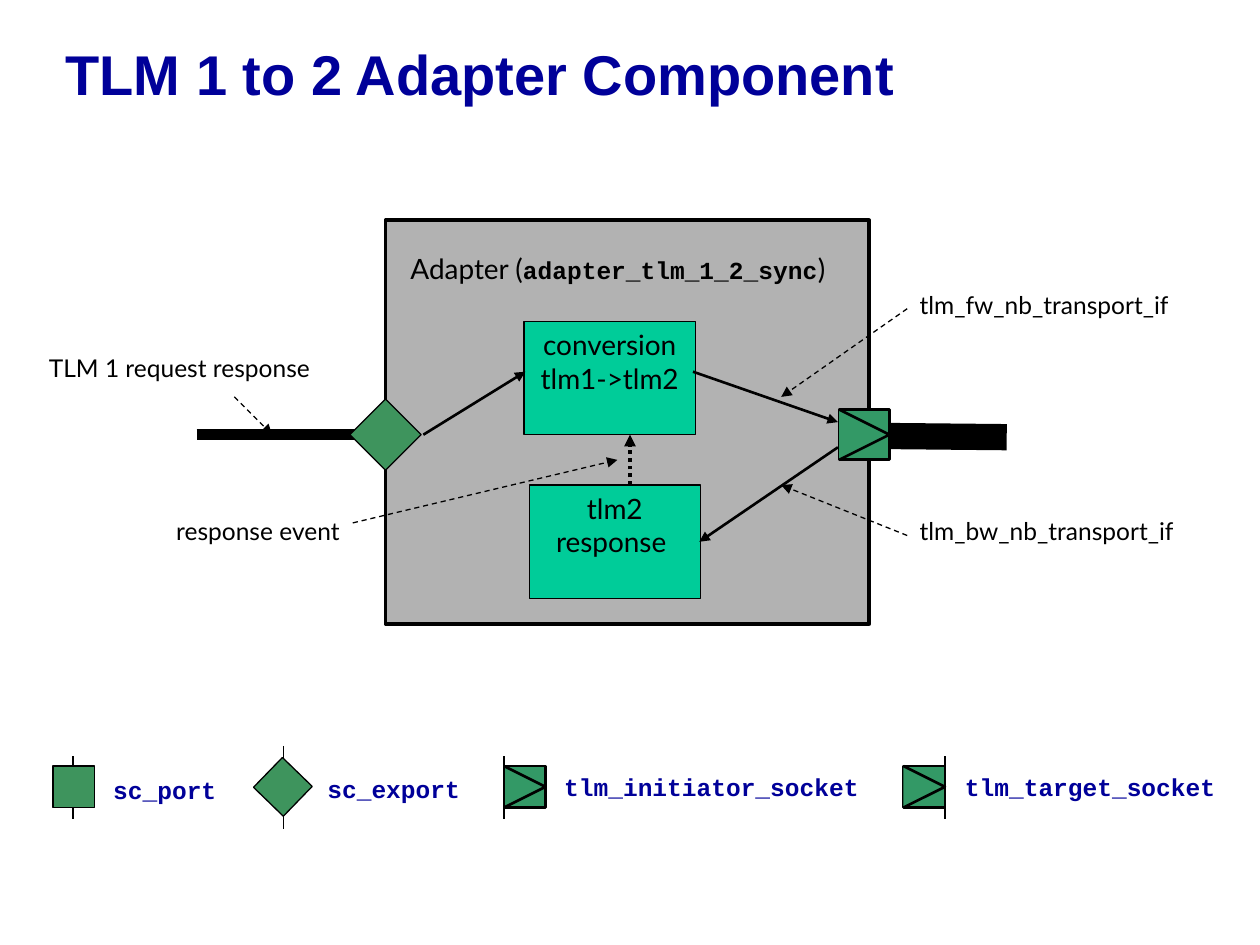
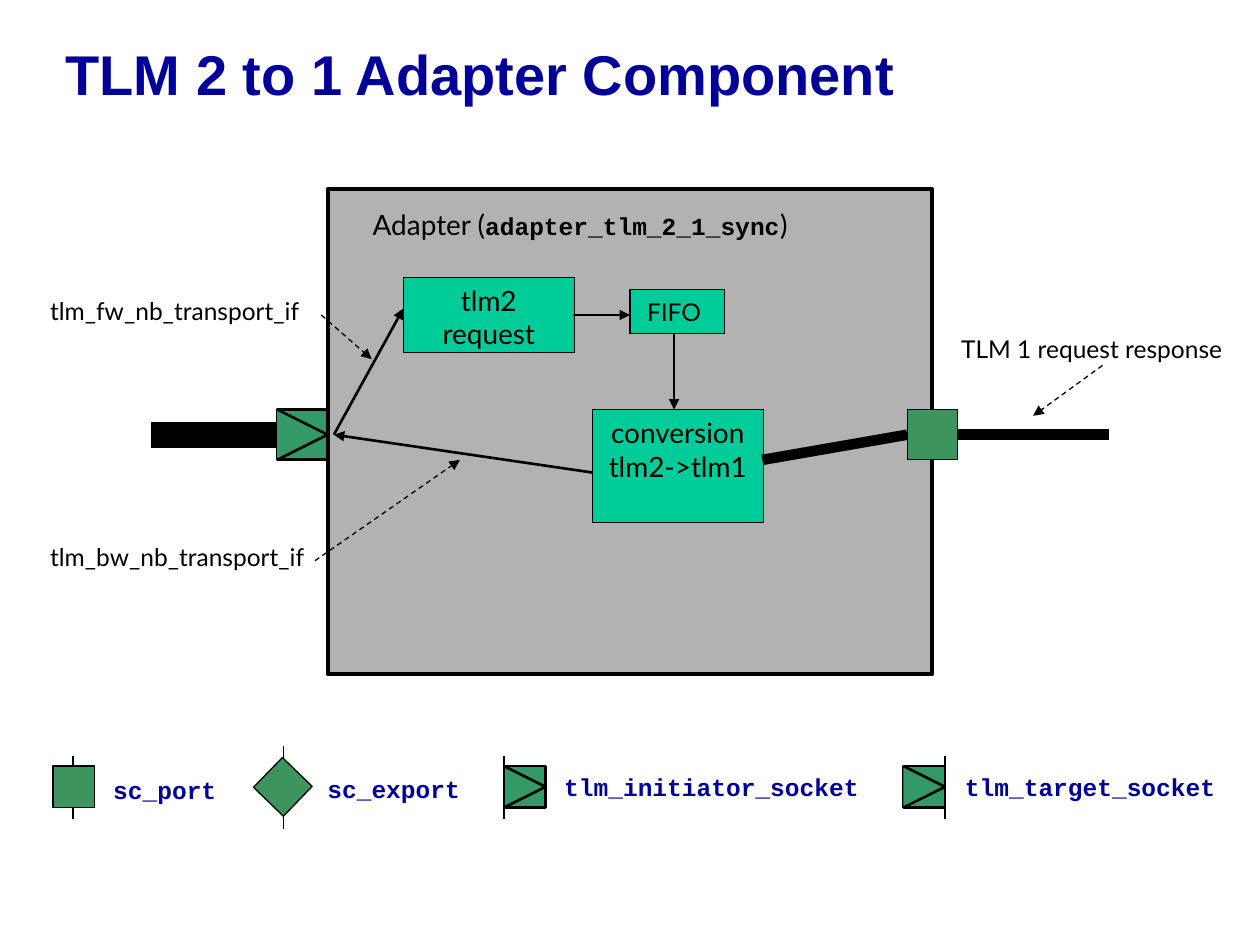
from lxml import etree
from pptx import Presentation
from pptx.dml.color import RGBColor
from pptx.enum.dml import MSO_LINE
from pptx.enum.shapes import MSO_CONNECTOR, MSO_SHAPE
from pptx.enum.text import MSO_ANCHOR, MSO_AUTO_SIZE, PP_ALIGN
from pptx.oxml.ns import qn
from pptx.util import Inches, Pt

RECTANGLE = MSO_SHAPE.RECTANGLE
STRAIGHT = MSO_CONNECTOR.STRAIGHT
DASH, DOT = MSO_LINE.DASH, MSO_LINE.ROUND_DOT
TOP, MIDDLE = MSO_ANCHOR.TOP, MSO_ANCHOR.MIDDLE
LEFT, CENTER = PP_ALIGN.LEFT, PP_ALIGN.CENTER
NO_FIT, FIT_SHAPE = MSO_AUTO_SIZE.NONE, MSO_AUTO_SIZE.SHAPE_TO_FIT_TEXT

NAVY = RGBColor(0x00, 0x00, 0x99)
BLACK = RGBColor(0x00, 0x00, 0x00)
GRAY = RGBColor(0xB2, 0xB2, 0xB2)
MINT = RGBColor(0x00, 0xCC, 0x99)
PORT_GREEN = RGBColor(0x3E, 0x94, 0x5D)
SOCKET_GREEN = RGBColor(0x33, 0x99, 0x66)

TITLE_FONT, BODY_FONT, CODE_FONT = "Arial", "Lato", "Courier New"
THIN, MEDIUM, FRAME, CHANNEL, BUS = 0.75, 1.5, 2.25, 6, 15
PORT_SIZE, LEGEND_SIZE = 0.4, 0.33
BLOCK_WIDTH, BLOCK_HEIGHT = 1.36, 0.9
PORT_TOP = 3.25
PORT_MIDDLE = PORT_TOP + PORT_SIZE / 2
LEGEND_TOP, LEGEND_MIDDLE = 6.08, 6.25


class AdapterDeck:
    def __init__(self):
        self.presentation = Presentation()
        self.presentation.slide_width = Inches(10)
        self.presentation.slide_height = Inches(7.5)
        self.slide = None

    def add_slide(self, title):
        layout = self.presentation.slide_layouts.get_by_name("Title Only")
        self.slide = self.presentation.slides.add_slide(layout)
        shape = self.slide.shapes.title
        shape.left, shape.top = Inches(0.42), Inches(0)
        shape.width, shape.height = Inches(9.5), Inches(1.25)
        frame = shape.text_frame
        frame.auto_size = NO_FIT
        frame.vertical_anchor = MIDDLE
        paragraph = frame.paragraphs[0]
        paragraph.alignment = LEFT
        paragraph.line_spacing = 0.85
        self.add_run(paragraph, title, 32, TITLE_FONT, NAVY, True)

    def add_run(self, paragraph, text, size, font=BODY_FONT, color=BLACK, bold=False):
        run = paragraph.add_run()
        run.text = text
        run.font.size = Pt(size)
        run.font.name = font
        run.font.bold = bold
        run.font.color.rgb = color

    def paint(self, shape, fill, width):
        shape.shadow.inherit = False
        shape.fill.solid()
        shape.fill.fore_color.rgb = fill
        shape.line.color.rgb = BLACK
        shape.line.width = Pt(width)

    def rectangle(self, left, top, width, height, fill, line_width=THIN, rotation=0):
        shape = self.slide.shapes.add_shape(
            RECTANGLE, Inches(left), Inches(top), Inches(width), Inches(height))
        shape.rotation = rotation
        self.paint(shape, fill, line_width)
        return shape

    def port(self, left, top, size, rotation=0):
        self.rectangle(left, top, size, size, PORT_GREEN, rotation=rotation)

    def socket(self, left, top, size):
        self.rectangle(left, top, size, size, SOCKET_GREEN, MEDIUM)
        builder = self.slide.shapes.build_freeform(Inches(left), Inches(top))
        builder.add_line_segments(
            [(Inches(left + size), Inches(top + size / 2)),
             (Inches(left), Inches(top + size))], close=False)
        self.paint(builder.convert_to_shape(), SOCKET_GREEN, MEDIUM)

    def block(self, left, top, lines, width=BLOCK_WIDTH, height=BLOCK_HEIGHT,
              size=16, anchor=TOP):
        frame = self.rectangle(left, top, width, height, MINT).text_frame
        frame.word_wrap = False
        frame.vertical_anchor = anchor
        for index, text in enumerate(lines):
            paragraph = frame.add_paragraph() if index else frame.paragraphs[0]
            paragraph.alignment = CENTER
            self.add_run(paragraph, text, size)

    def text_box(self, left, top, width, height, wrap):
        box = self.slide.shapes.add_textbox(
            Inches(left), Inches(top), Inches(width), Inches(height))
        frame = box.text_frame
        frame.word_wrap = wrap
        frame.auto_size = FIT_SHAPE
        return frame.paragraphs[0]

    def label(self, left, top, width, text, wrap=True):
        self.add_run(self.text_box(left, top, width, 0.34, wrap), text, 14)

    def line(self, start, end, width=THIN, dash=None, arrow=False):
        points = [Inches(value) for value in (*start, *end)]
        connector = self.slide.shapes.add_connector(STRAIGHT, *points)
        connector.line.color.rgb = BLACK
        connector.line.width = Pt(width)
        if dash:
            connector.line.dash_style = dash
        properties = connector.element.spPr
        if arrow:
            etree.SubElement(properties.find(qn("a:ln")), qn("a:tailEnd"), type="triangle")
        etree.SubElement(properties, qn("a:effectLst"))

    def flow(self, start, end):
        self.line(start, end, MEDIUM, arrow=True)

    def pointer(self, start, end):
        self.line(start, end, dash=DASH, arrow=True)

    def adapter(self, left, top, width, height, name, name_left, name_top):
        self.rectangle(left, top, width, height, GRAY, FRAME)
        paragraph = self.text_box(name_left, name_top, 3.74, 0.37, True)
        self.add_run(paragraph, "Adapter (", 16)
        self.add_run(paragraph, name, 14, CODE_FONT, bold=True)
        self.add_run(paragraph, ")", 16)

    def legend_stem(self, x, reach=0.25):
        self.line((x, LEGEND_MIDDLE - reach), (x, LEGEND_MIDDLE + reach))

    def legend(self):
        self.legend_stem(0.58)
        self.port(0.42, LEGEND_TOP, LEGEND_SIZE)
        self.legend_stem(2.25, 0.33)
        self.port(2.08, LEGEND_TOP, LEGEND_SIZE, 44.1)
        for left, stem in ((4, 4), (7.17, 7.5)):
            self.socket(left, LEGEND_TOP, LEGEND_SIZE)
            self.legend_stem(stem)
        for left, top, width, text in (
                (0.8, 6.1, 1.02, "sc_port"),
                (2.5, 6.09, 1.25, "sc_export"),
                (4.38, 6.08, 2.54, "tlm_initiator_socket"),
                (7.56, 6.08, 2.19, "tlm_target_socket")):
            paragraph = self.text_box(left, top, width, 0.34, False)
            self.add_run(paragraph, text, 14, CODE_FONT, NAVY, True)


def build_1_to_2(deck):
    deck.add_slide("TLM 1 to 2 Adapter Component")
    deck.legend()
    deck.line((1.56, PORT_MIDDLE), (2.87, PORT_MIDDLE), CHANNEL)
    deck.adapter(3.06, 1.75, 3.84, 3.2, "adapter_tlm_1_2_sync", 3.16, 1.95)
    deck.port(2.86, PORT_TOP, PORT_SIZE, 45)
    deck.line((7, 3.46), (7.99, 3.47), BUS)
    deck.socket(6.66, PORT_TOP, PORT_SIZE)

    deck.block(4.16, 2.55, ("conversion", "tlm1->tlm2"))
    deck.block(4.2, 3.85, ("tlm2", "response "))
    deck.flow((3.36, PORT_MIDDLE), (4.17, 2.95))
    deck.flow((5.5, 2.95), (6.65, 3.35))
    deck.flow((6.65, 3.55), (5.55, 4.3))
    deck.line((5, 3.85), (5, 3.45), FRAME, DOT, True)

    deck.label(0.29, 2.75, 2.4, "TLM 1 request response", wrap=False)
    deck.label(1.3, 4.05, 1.7, "response event")
    deck.label(7.2, 4.05, 2.3, "tlm_bw_nb_transport_if")
    deck.label(7.2, 2.25, 2.3, "tlm_fw_nb_transport_if")
    deck.pointer((1.86, 3.15), (2.16, 3.45))
    deck.pointer((2.8, 4.15), (4.9, 3.65))
    deck.pointer((7.2, 4.25), (6.2, 3.85))
    deck.pointer((7.2, 2.45), (6.2, 3.15))


def build_2_to_1(deck):
    deck.add_slide("TLM 2 to 1 Adapter Component")
    deck.legend()
    deck.adapter(2.6, 1.5, 4.8, 3.85, "adapter_tlm_2_1_sync", 2.86, 1.6)
    deck.line((1.2, PORT_MIDDLE), (2.19, PORT_MIDDLE), BUS)
    deck.socket(2.2, PORT_TOP, PORT_SIZE)

    deck.block(4.7, 3.25, ("conversion", "tlm2->tlm1"))
    deck.flow((2.65, PORT_MIDDLE), (3.2, 2.45))
    deck.block(3.2, 2.2, ("tlm2", "request"), height=0.6)
    deck.block(5, 2.3, ("FIFO ",), 0.75, 0.35, 14, MIDDLE)
    deck.flow((4.55, 2.5), (5, 2.5))
    deck.flow((5.35, 2.65), (5.35, 3.25))
    deck.flow((4.7, 3.75), (2.65, PORT_MIDDLE))
    deck.line((7.5, PORT_MIDDLE), (8.8, PORT_MIDDLE), CHANNEL)
    deck.port(7.2, PORT_TOP, PORT_SIZE)
    deck.line((6.05, 3.65), (7.2, PORT_MIDDLE), CHANNEL)

    deck.label(7.53, 2.6, 2.4, "TLM 1 request response", wrap=False)
    deck.label(0.3, 4.25, 2.3, "tlm_bw_nb_transport_if")
    deck.label(0.3, 2.3, 2.3, "tlm_fw_nb_transport_if")
    deck.pointer((2.55, 2.5), (2.95, 2.85))
    deck.pointer((8.75, 2.9), (8.2, 3.3))
    deck.pointer((2.5, 4.45), (3.65, 3.65))


def main():
    deck = AdapterDeck()
    build_1_to_2(deck)
    build_2_to_1(deck)
    deck.presentation.save("out.pptx")


if __name__ == "__main__":
    main()
